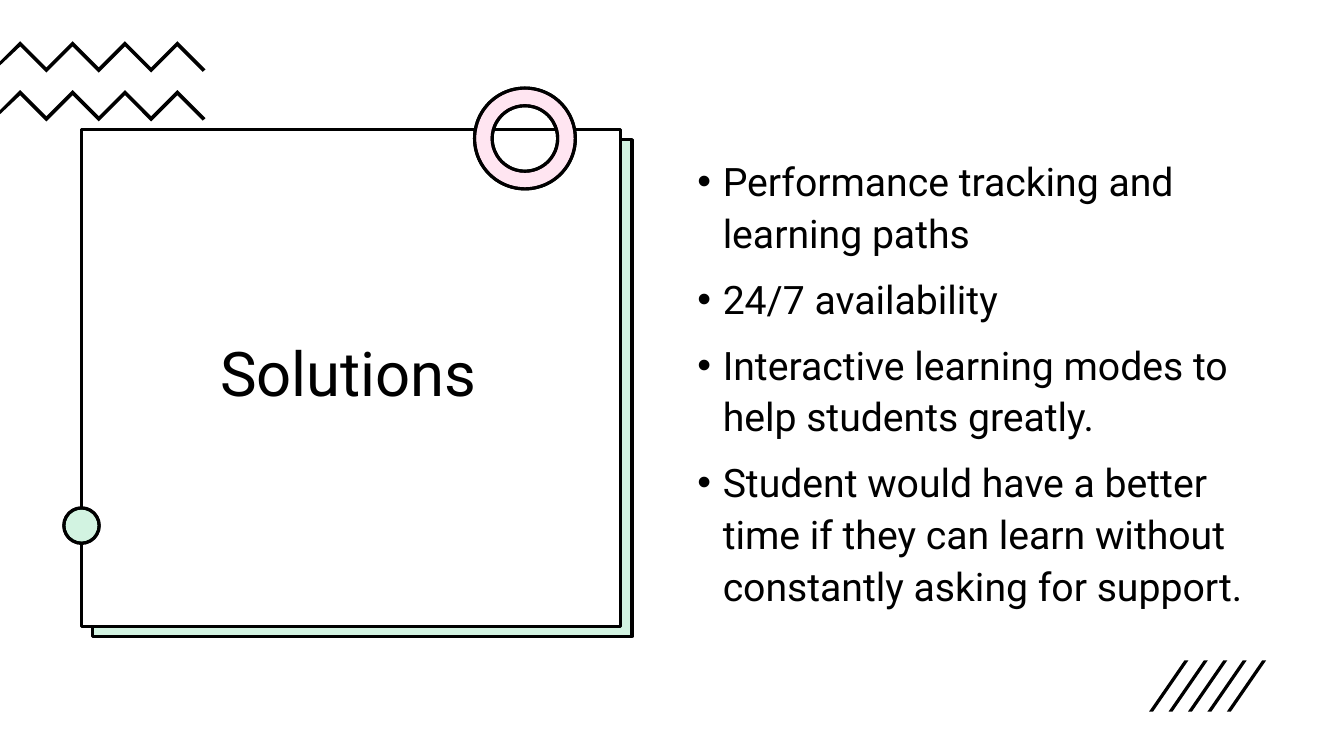
from lxml.etree import SubElement
from pptx import Presentation
from pptx.dml.color import RGBColor
from pptx.enum.shapes import MSO_SHAPE as Preset
from pptx.enum.text import MSO_ANCHOR as Anchor, MSO_AUTO_SIZE as AutoSize, PP_ALIGN as Align
from pptx.oxml.ns import qn
from pptx.util import Cm, Pt

BLACK = RGBColor(0x00, 0x00, 0x00)
WHITE = RGBColor(0xFF, 0xFF, 0xFF)
GREEN = RGBColor(0x21, 0xC4, 0x6B)
PINK = RGBColor(0xFF, 0x80, 0xBD)

WIDTH, HEIGHT = 33.87, 19.05
SOLUTIONS = [
    "Performance tracking and learning paths",
    "24/7 availability",
    "Interactive learning modes to help students greatly.",
    "Student would have a better time if they can learn without constantly asking for support.",
]


def apply(target, formats):
    for name, value in formats.items():
        setattr(target, name, value)


class SlideWriter:
    font = "Roboto"
    outline = Pt(2.25)
    tint_alpha = 20

    def __init__(self, slide):
        self.slide = slide
        self.shapes = slide.shapes

    def shape(self, preset, box, fill, line=None, alpha=None, adjust=None):
        shape = self.shapes.add_shape(preset, *map(Cm, box))
        shape.shadow.inherit = False
        shape.fill.solid()
        shape.fill.fore_color.rgb = fill
        if alpha:
            color = shape.element.spPr.find(".//" + qn("a:srgbClr"))
            SubElement(color, qn("a:alpha"), val=str(alpha * 1000))
        if line is None:
            shape.line.fill.background()
        else:
            shape.line.color.rgb = line
            shape.line.width = self.outline
        if adjust:
            shape.adjustments[0] = adjust

    def tinted(self, preset, box, tint, under_line=BLACK, adjust=None):
        self.shape(preset, box, WHITE, under_line, adjust=adjust)
        self.shape(preset, box, tint, BLACK, self.tint_alpha, adjust)

    def outlines(self, polygons):
        group = self.shapes.add_group_shape()
        for points in polygons:
            corners = [(Cm(x), Cm(y)) for x, y in points]
            builder = group.shapes.build_freeform(*corners[0], scale=1.0)
            builder.add_line_segments(corners[1:], close=True)
            shape = builder.convert_to_shape()
            shape.shadow.inherit = False
            shape.fill.solid()
            shape.fill.fore_color.rgb = BLACK
            shape.line.fill.background()

    def text(self, holder, box, lines, size, anchor, formats, gap=0, bullet=None):
        self.shapes.element.append(holder.element)
        apply(holder, dict(zip(("left", "top", "width", "height"), map(Cm, box))))
        frame = holder.text_frame
        apply(frame, {"word_wrap": True, "auto_size": AutoSize.NONE, "vertical_anchor": anchor})
        for index, line in enumerate(lines):
            paragraph = frame.add_paragraph() if index else frame.paragraphs[0]
            if bullet:
                properties = paragraph._p.get_or_add_pPr()
                apply_indent = {"marL": Cm(0.64), "indent": -Cm(0.64)}
                for name, value in apply_indent.items():
                    properties.set(name, str(value))
                SubElement(properties, qn("a:buFont"), typeface="Arial")
                SubElement(properties, qn("a:buChar"), char=bullet)
            apply(paragraph, {**formats, "space_before": Pt(gap if index else 0)})
            run = paragraph.add_run()
            run.text = line
            apply(run.font, {"name": self.font, "size": Pt(size)})
            run.font.color.rgb = BLACK


def zigzag(top):
    peaks = [(0.51 + 0.66 * k, top + 0.66 * (k % 2)) for k in range(7)]
    underside = [(x, y + 0.13) for x, y in reversed(peaks)]
    tip = [(5.18, top + 0.71), (5.11, top + 0.77)]
    return peaks + tip + underside + [(0, top + 0.61), (0, top + 0.51)]


def slash(left):
    top, bottom, stroke, lean = 16.64, 17.93, 0.1, 0.89
    return [(left + stroke, bottom), (left, bottom), (left + lean, top), (left + lean + stroke, top)]


def main():
    deck = Presentation()
    apply(deck, {"slide_width": Cm(WIDTH), "slide_height": Cm(HEIGHT)})
    slide = deck.slides.add_slide(deck.slide_layouts[1])
    writer = SlideWriter(slide)
    title, body = slide.placeholders

    writer.shape(Preset.RECTANGLE, (0, 0, WIDTH, HEIGHT), WHITE)
    writer.outlines(zigzag(top) for top in (1.04, 2.27))

    writer.tinted(Preset.RECTANGLE, (2.34, 3.52, 13.59, 12.52), GREEN, WHITE)
    writer.shape(Preset.RECTANGLE, (2.06, 3.26, 13.59, 12.52), WHITE, BLACK)
    writer.text(title, (3.07, 3.51, 11.43, 11.94), ["Solutions"], 44, Anchor.MIDDLE,
                {"alignment": Align.CENTER, "line_spacing": 0.9})
    writer.tinted(Preset.DONUT, (11.96, 2.22, 2.54, 2.54), PINK, adjust=0.175)
    writer.tinted(Preset.OVAL, (1.61, 12.8, 0.89, 0.89), GREEN)

    writer.text(body, (17.32, 3.73, 14.5, 12.09), SOLUTIONS, 28, Anchor.TOP,
                {"alignment": Align.LEFT, "line_spacing": 1.1}, gap=10, bullet="•")
    writer.outlines(slash(28.96 + 0.49 * k) for k in range(5))

    deck.save("out.pptx")


if __name__ == "__main__":
    main()
